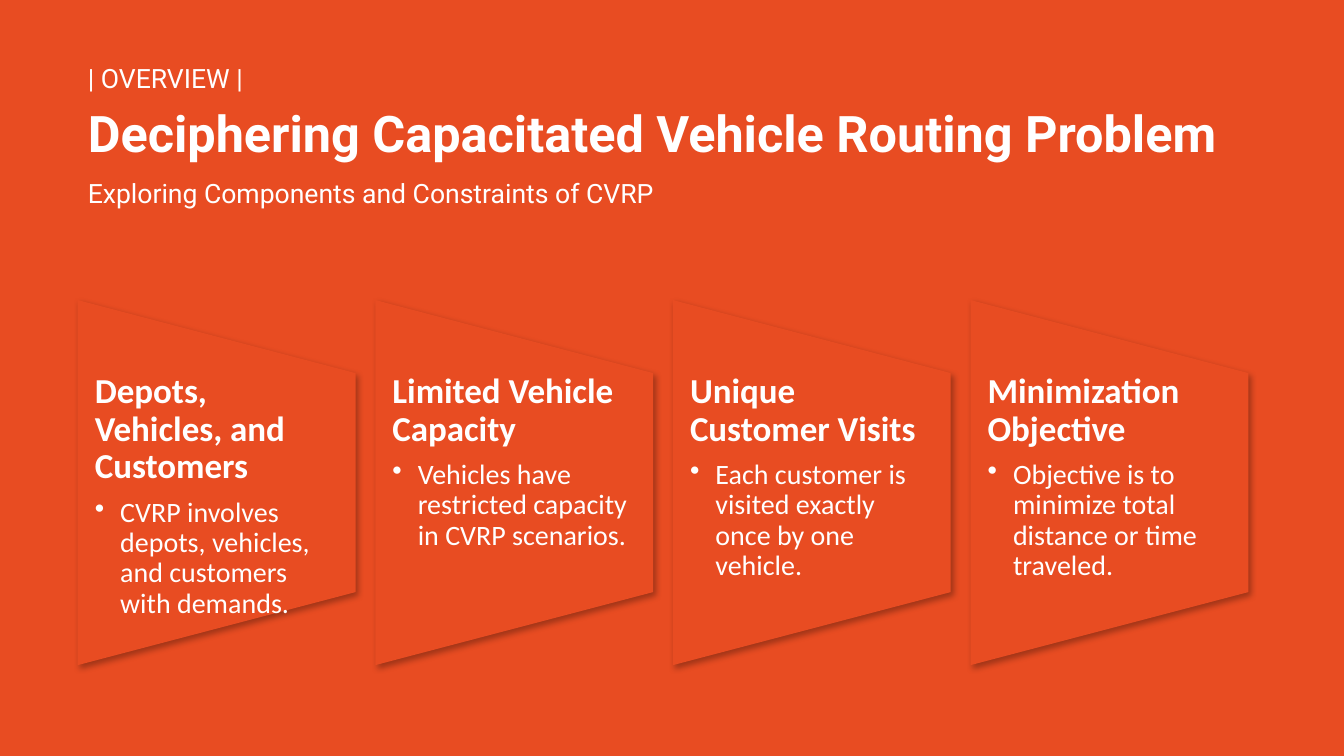
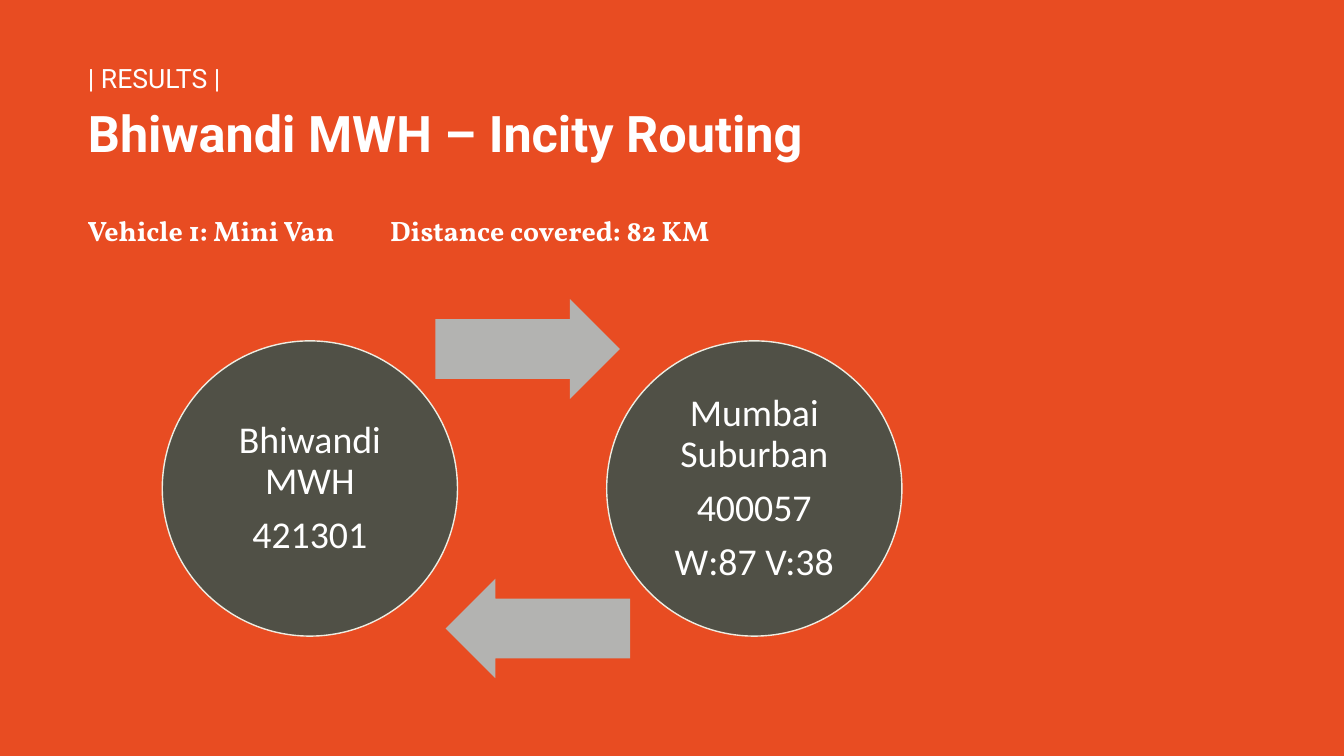
from lxml.etree import SubElement as Sub
from pptx import Presentation
from pptx.dml.color import RGBColor
from pptx.enum.shapes import MSO_SHAPE as Shape
from pptx.enum.text import MSO_ANCHOR as Anchor, MSO_AUTO_SIZE as Fit, PP_ALIGN as Align
from pptx.oxml import parse_xml
from pptx.oxml.ns import nsdecls, qn
from pptx.util import Cm, Pt

ORANGE = RGBColor(0xE8, 0x4C, 0x22)
WHITE = RGBColor(0xFF, 0xFF, 0xFF)
OLIVE = RGBColor(0x50, 0x50, 0x46)
CREAM = RGBColor(0xEE, 0xEC, 0xE1)
GREY = RGBColor(0xB3, 0xB3, 0xB1)

LEFT = 1.96
HEAD, BODY, FACTS = "Roboto", "Calibri", "Vollkorn"

SHADOW = f"""<a:effectLst {nsdecls('a')}>
  <a:outerShdw blurRad="57150" dist="33020" dir="3180000" algn="ctr" rotWithShape="0">
    <a:srgbClr val="000000"><a:alpha val="30000"/></a:srgbClr>
  </a:outerShdw>
</a:effectLst>"""

CARDS = [
    ("Depots, Vehicles, and Customers",
     "CVRP involves depots, vehicles, and customers with demands."),
    ("Limited Vehicle Capacity",
     "Vehicles have restricted capacity in CVRP scenarios."),
    ("Unique Customer Visits",
     "Each customer is visited exactly once by one vehicle."),
    ("Minimization Objective",
     "Objective is to minimize total distance or time traveled."),
]


class Deck:
    """Holds the shared style and the slide being filled; lengths are in cm."""

    def __init__(self):
        self.prs = Presentation()
        self.prs.slide_width, self.prs.slide_height = Cm(33.87), Cm(19.05)
        fill = self.prs.slide_master.background.fill
        fill.solid()
        fill.fore_color.rgb = ORANGE
        self.slide = None

    def para(self, frame, text, size, font, bold=False, first=False,
             line=1.0, before=0, after=0, align=Align.LEFT, bullet=False, tab=None):
        """Add one paragraph; the first one fills the frame's own paragraph."""
        para = frame.paragraphs[0] if first else frame.add_paragraph()
        para.text = text
        props = para._p.get_or_add_pPr()
        if bullet:
            props.set("marL", str(Cm(0.64)))
            props.set("indent", str(-Cm(0.64)))
            Sub(props, qn("a:buChar"), char="•")
        if tab:
            Sub(Sub(props, qn("a:tabLst")), qn("a:tab"), pos=str(Cm(tab)), algn="l")
        para.alignment, para.line_spacing = align, line
        para.space_before, para.space_after = Pt(before), Pt(after)
        para.font.name, para.font.size, para.font.bold = font, Pt(size), bold
        para.font.color.rgb = WHITE

    def page(self, label, title, sub=None):
        """Start a slide with its label, title and optional subtitle."""
        self.slide = self.prs.slides.add_slide(self.prs.slide_layouts[5])
        lines = [(f"| {label} |", 19, False), (title, 36, True)]
        if sub:
            lines.append((sub, 19, False))
        head = self.slide.shapes.title
        head.left, head.top = Cm(LEFT), Cm(1.55)
        head.width, head.height = Cm(29.03), Cm(1.55 * len(lines))
        frame = head.text_frame
        frame.word_wrap, frame.auto_size = True, Fit.NONE
        frame.vertical_anchor = Anchor.TOP
        for i, (text, size, bold) in enumerate(lines):
            self.para(frame, text, size, HEAD, bold, first=i == 0,
                      line=0.85, before=13 if i else 0)

    def box(self, x, y, w, h):
        frame = self.slide.shapes.add_textbox(Cm(x), Cm(y), Cm(w), Cm(h)).text_frame
        frame.word_wrap = True
        return frame

    def shape(self, kind, x, y, w, h, color, turn=0):
        item = self.slide.shapes.add_shape(kind, Cm(x), Cm(y), Cm(w), Cm(h))
        item.shadow.inherit = False
        item.fill.solid()
        item.fill.fore_color.rgb = color
        item.line.fill.background()
        item.rotation = turn
        return item

    def card(self, x, title, text):
        wide, tall, top = 7, 9.2, 7.56
        shift = (tall - wide) / 2
        panel = self.shape(Shape.FLOWCHART_MANUAL_OPERATION, x - shift, top + shift,
                           tall, wide, ORANGE, 270)
        props = panel._element.spPr
        props.replace(props.find(qn("a:effectLst")), parse_xml(SHADOW))
        frame = self.box(x, 9.4, wide, 5.5)
        frame.margin_left, frame.margin_right = Cm(0.43), Cm(0.46)
        frame.margin_top = frame.margin_bottom = 0
        self.para(frame, title, 25, BODY, True, first=True, line=0.9, after=8.5)
        self.para(frame, text, 20, BODY, line=0.9, after=3, bullet=True)

    def stop(self, x, lines):
        """Draw one stop of the route as a circle."""
        disc = self.shape(Shape.OVAL, x, 8.59, 7.44, 7.44, OLIVE)
        disc.line.color.rgb, disc.line.width = CREAM, Pt(1)
        frame = disc.text_frame
        frame.word_wrap, frame.vertical_anchor = True, Anchor.MIDDLE
        frame.margin_left = frame.margin_right = Cm(0.1)
        frame.margin_top = frame.margin_bottom = Cm(0.1)
        for i, text in enumerate(lines):
            self.para(frame, text, 27, BODY, first=i == 0, line=0.9,
                      after=9.5, align=Align.CENTER)

    def arrow(self, x, y, turn=0):
        item = self.shape(Shape.RIGHT_ARROW, x, y, 4.65, 2.51, GREY, turn)
        item.adjustments[0], item.adjustments[1] = 0.6, 0.5


def main():
    deck = Deck()

    deck.page("OVERVIEW", "Deciphering Capacitated Vehicle Routing Problem",
              "Exploring Components and Constraints of CVRP")
    for i, (title, text) in enumerate(CARDS):
        deck.card(LEFT + 7.5 * i, title, text)

    deck.page("RESULTS", "Bhiwandi MWH – Incity Routing")
    deck.para(deck.box(LEFT, 5.26, 17, 1.12),
              "Vehicle 1: Mini Van\tDistance covered: 82 KM",
              20, FACTS, True, first=True, tab=7.62)
    deck.stop(4.09, ["Bhiwandi MWH", "421301"])
    deck.arrow(10.97, 7.54)
    deck.stop(15.29, ["Mumbai Suburban", "400057", "W:87 V:38"])
    deck.arrow(11.23, 14.58, 180)

    deck.prs.save("out.pptx")


if __name__ == "__main__":
    main()
